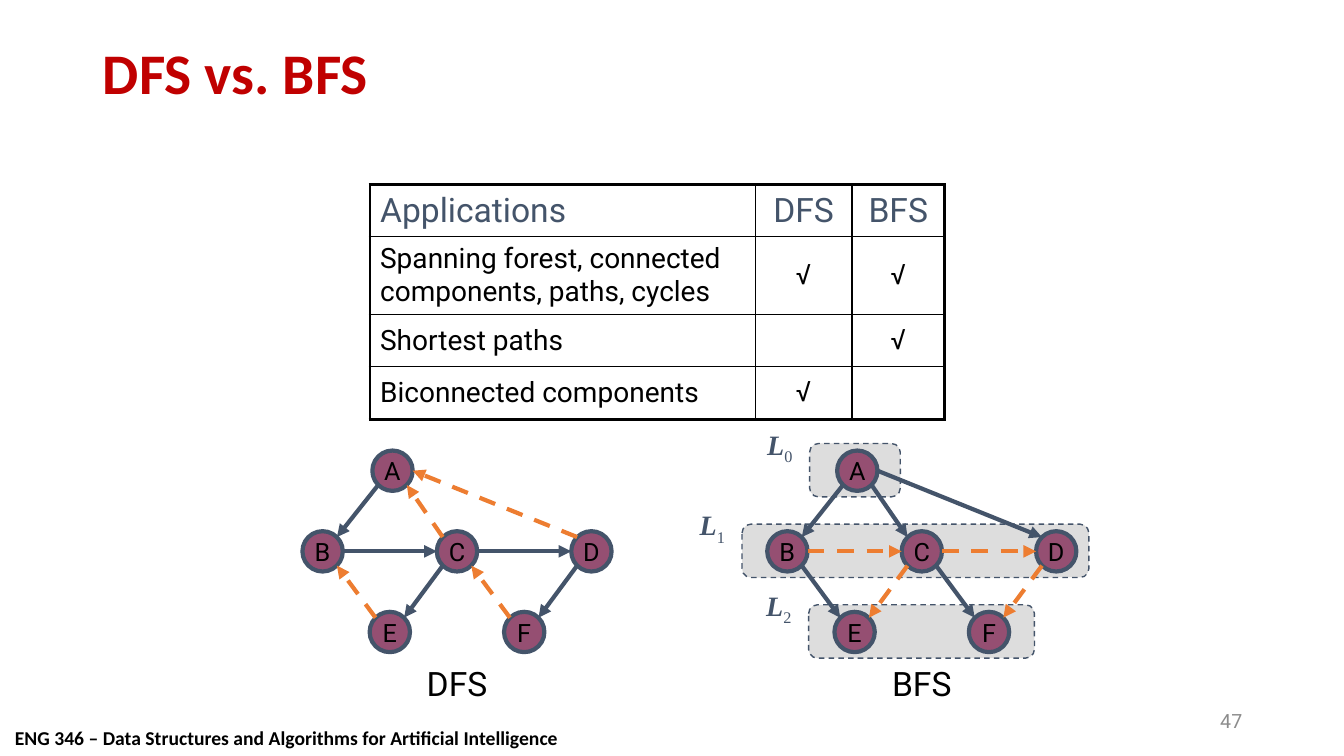
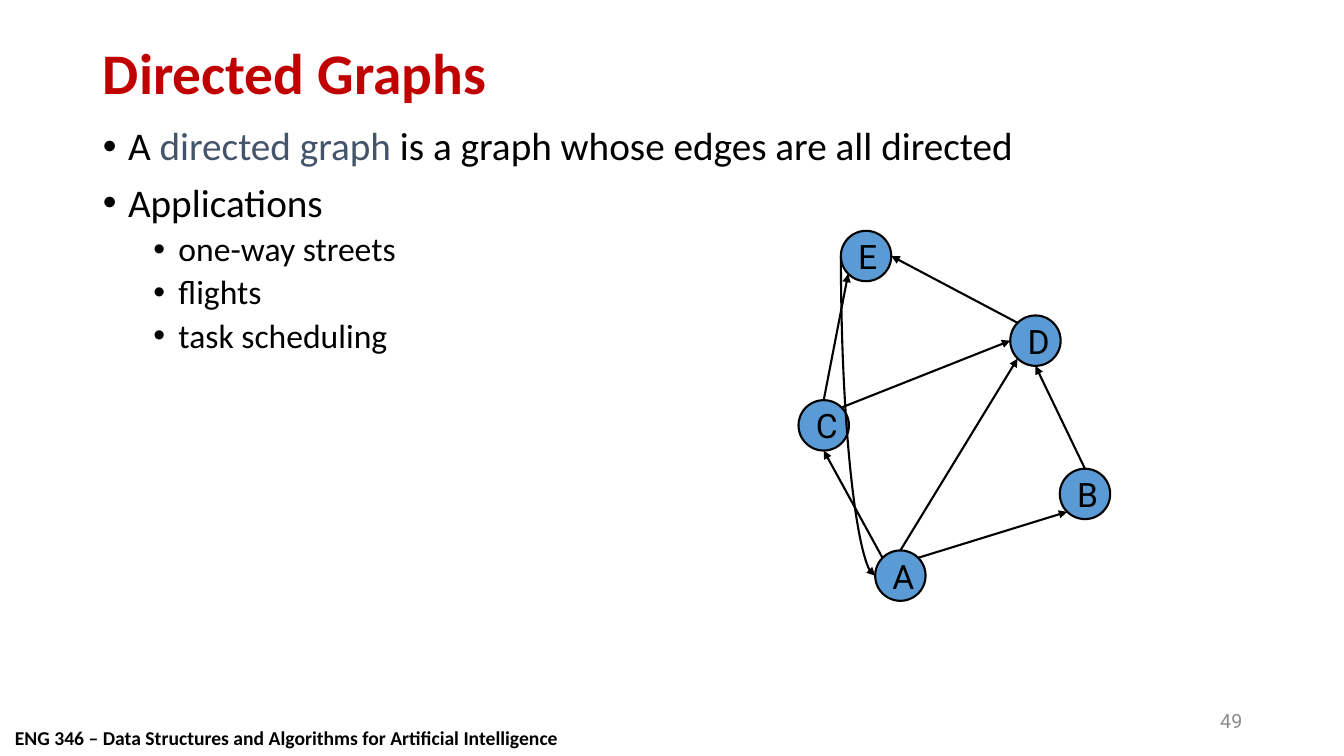
from lxml import etree
from pptx import Presentation
from pptx import util as u
from pptx.dml.color import RGBColor
from pptx.enum import dml, shapes, text
from pptx.oxml.ns import qn

# Shared look
WIDTH, HEIGHT = 13.33, 7.5
COLORS = {"title": "C00000", "ink": "000000", "slate": "44546A", "number": "8C8C8C",
          "band": "DDDDDD", "plum": "954F72", "orange": "ED7D31", "blue": "5B9BD5"}
HEADING, LABEL, MATH, TICK = "Calibri", "Roboto", "Times New Roman", "Arial"
MARGIN, CONTENT = 0.92, 11.5
FOOTER = "ENG 346 – Data Structures and Algorithms for Artificial Intelligence"
LEFT, CENTER, RIGHT = text.PP_ALIGN.LEFT, text.PP_ALIGN.CENTER, text.PP_ALIGN.RIGHT
MIDDLE = text.MSO_ANCHOR.MIDDLE

# Unit directions of the connection points around a node
DIAGONAL = 0.71
PORTS = {"N": (0, -1), "S": (0, 1), "W": (-1, 0), "E": (1, 0),
         "NW": (-DIAGONAL, -DIAGONAL), "NE": (DIAGONAL, -DIAGONAL),
         "SW": (-DIAGONAL, DIAGONAL), "SE": (DIAGONAL, DIAGONAL)}

# Traversal graphs: nodes as (column, row), edges as "node.port node.port"
COLUMN, ROW = WIDTH / 10, 0.8
TOP_ROW = 4.67
TRAVERSAL_NODES = {"A": (0.52, 0), "B": (0, 1), "C": (1, 1), "D": (2, 1),
                   "E": (0.5, 2), "F": (1.5, 2)}
DFS_TREE = ["A.SW B.NE", "B.E C.W", "C.SW E.NE", "C.E D.W", "D.SW F.NE"]
DFS_BACK = ["E.NW B.SE", "C.NW A.SE", "D.NW A.E", "F.NW C.SE"]
BFS_TREE = ["A.SW B.NE", "A.SE C.NW", "A.E D.NW", "B.SE E.NW", "C.SE F.NW"]
BFS_CROSS = ["B.E C.W", "C.E D.W", "C.SW E.NE", "D.SW F.NE"]
LEVELS = [(8.03, 0.9), (7.36, 3.44), (8.02, 2.24)]  # left and width of each band

# Directed graph
STEP = 0.42
DIRECTED_NODES = {"A": (1.81, 7.55), "B": (6.17, 5.62), "C": (0, 4),
                  "D": (5, 2), "E": (1, 0)}
DIRECTED_EDGES = ["A.NW C.S", "A.NE B.SW", "A.N D.SW", "B.N D.S",
                  "C.N E.SW", "C.NE D.W", "D.NW E.E"]

APPLICATIONS = [("Applications", "DFS", "BFS"),
                ("Spanning forest, connected components, paths, cycles", "√", "√"),
                ("Shortest paths", "", "√"),
                ("Biconnected components", "√", "")]


def rgb(name):
    return RGBColor.from_string(COLORS[name])


def add_span(para, words, font, size, color="ink", bold=False, italic=False):
    span = para.add_run()
    span.text = words
    span.font.name, span.font.size = font, u.Pt(size)
    span.font.bold, span.font.italic = bold, italic
    span.font.color.rgb = rgb(color)
    return span


def add_box(page, left, top, width, height, align=LEFT):
    box = page.shapes.add_textbox(*map(u.Inches, (left, top, width, height)))
    box.text_frame.word_wrap = True
    para = box.text_frame.paragraphs[0]
    para.alignment = align
    return box, para


def set_line(line, color, weight, dashed=False):
    line.color.rgb = rgb(color)
    line.width = u.Pt(weight)
    if dashed:
        line.dash_style = dml.MSO_LINE.DASH


def add_page(deck, layout, title, number):
    page = deck.slides.add_slide(deck.slide_layouts[layout])
    heading = page.shapes.title
    place(heading, 0.4, 0.7)
    heading.text_frame.vertical_anchor = MIDDLE
    para = heading.text_frame.paragraphs[0]
    para.alignment, para.line_spacing = LEFT, 0.9
    add_span(para, title, HEADING, 41, "title", bold=True)

    _, para = add_box(page, 0.05, 7.15, 6, 0.33)
    add_span(para, FOOTER, HEADING, 14, bold=True)
    box, para = add_box(page, MARGIN + CONTENT - 3, 6.95, 3, 0.4, RIGHT)
    box.text_frame.vertical_anchor = MIDDLE
    add_span(para, str(number), LABEL, 14, "number")
    return page


def place(holder, top, height):
    holder.left, holder.top = u.Inches(MARGIN), u.Inches(top)
    holder.width, holder.height = u.Inches(CONTENT), u.Inches(height)
    holder.text_frame.auto_size = text.MSO_AUTO_SIZE.NONE


def add_bullet(frame, spans, level=0):
    first = not frame.paragraphs[0].runs
    para = frame.paragraphs[0] if first else frame.add_paragraph()
    para.level = level
    para.line_spacing = 0.9
    para.space_before = u.Pt(0 if first else 5 if level else 10)
    props = para._p.get_or_add_pPr()
    props.set("marL", str(u.Inches(0.25 + level * 0.5)))
    props.set("indent", str(u.Inches(-0.25)))
    etree.SubElement(props, qn("a:buFont")).set("typeface", TICK)
    etree.SubElement(props, qn("a:buChar")).set("char", "•")
    for words, color in spans:
        add_span(para, words, HEADING, 24 if level else 28, color)


# Graph parts
def locate(nodes, origin, pitch):
    return {name: (origin[0] + column * pitch[0], origin[1] + row * pitch[1])
            for name, (column, row) in nodes.items()}


def add_nodes(page, centers, radius, fill, outline, weight, size, align):
    for name, (x, y) in centers.items():
        node = page.shapes.add_shape(
            shapes.MSO_SHAPE.OVAL,
            *map(u.Inches, (x - radius, y - radius, 2 * radius, 2 * radius)))
        node.shadow.inherit = False
        node.fill.solid()
        node.fill.fore_color.rgb = rgb(fill)
        set_line(node.line, outline, weight)
        frame = node.text_frame
        frame.word_wrap, frame.vertical_anchor = False, MIDDLE
        frame.paragraphs[0].alignment = align
        add_span(frame.paragraphs[0], name, LABEL, size)


def port_point(centers, radius, end):
    name, port = end.split(".")
    return [u.Inches(center + radius * shift)
            for center, shift in zip(centers[name], PORTS[port])]


def add_edge(page, centers, radius, edge, color, weight, dashed=False,
             kind=shapes.MSO_CONNECTOR.STRAIGHT, arrow="a:tailEnd"):
    start, end = (port_point(centers, radius, part) for part in edge.split())
    link = page.shapes.add_connector(kind, *start, *end)
    set_line(link.line, color, weight, dashed)
    etree.SubElement(link.line._get_or_add_ln(), qn(arrow)).set("type", "triangle")
    etree.SubElement(link._element.spPr, qn("a:effectLst"))
    return link


def add_traversal(page, name, left, tree, other):
    centers = locate(TRAVERSAL_NODES, (left, TOP_ROW), (COLUMN, ROW))
    add_nodes(page, centers, 0.2, "plum", "slate", 3, 18, CENTER)
    for edges, color, dashed in ((tree, "slate", False), (other, "orange", True)):
        for edge in edges:
            add_edge(page, centers, 0.2, edge, color, 3, dashed)
    _, para = add_box(page, left + COLUMN - 0.87, 6.53, 1.74, 0.5, CENTER)
    add_span(para, name, LABEL, 24)


def add_level(page, index, left, width):
    top = TOP_ROW - 0.27 + index * ROW
    band = page.shapes.add_shape(shapes.MSO_SHAPE.ROUNDED_RECTANGLE,
                                 *map(u.Inches, (left, top, width, 0.53)))
    band.shadow.inherit = False
    band.fill.solid()
    band.fill.fore_color.rgb = rgb("band")
    set_line(band.line, "slate", 1, dashed=True)
    _, para = add_box(page, left - 0.55, top - 0.21, 0.51, 0.48, CENTER)
    add_span(para, "L", MATH, 20, "slate", bold=True, italic=True)
    below = add_span(para, str(index), MATH, 20, "slate")
    below._r.get_or_add_rPr().set("baseline", "-25000")


# Table parts
def add_border(cell, side, weight):
    border = etree.SubElement(cell._tc.get_or_add_tcPr(), qn("a:ln" + side))
    border.set("w", str(u.Pt(weight)))
    fill = etree.SubElement(border, qn("a:solidFill"))
    etree.SubElement(fill, qn("a:srgbClr")).set("val", COLORS["ink"])


def add_applications(page):
    widths, heights = (3.82, 0.96, 0.92), (0.52, 0.77, 0.52, 0.52)
    frame = page.shapes.add_table(
        len(heights), len(widths),
        *map(u.Inches, (3.67, 1.83, sum(widths), sum(heights))))
    table = frame.table
    table.first_row = table.horz_banding = False
    for column, width in zip(table.columns, widths):
        column.width = u.Inches(width)
    for line, height in zip(table.rows, heights):
        line.height = u.Inches(height)
    last_row, last_column = len(heights) - 1, len(widths) - 1
    for row, words in enumerate(APPLICATIONS):
        for column, word in enumerate(words):
            cell = table.cell(row, column)
            outer = {"L": column == 0, "R": column == last_column,
                     "T": row == 0, "B": row == last_row}
            for side, heavy in outer.items():
                add_border(cell, side, 2.21 if heavy else 0.96)
            cell.fill.background()
            cell.vertical_anchor = MIDDLE
            para = cell.text_frame.paragraphs[0]
            para.alignment = CENTER if column else LEFT
            if not word:
                continue
            if row == 0:
                add_span(para, word, LABEL, 24, "slate")
            elif column:
                add_span(para, word, TICK, 18, bold=True)
            else:
                add_span(para, word, LABEL, 20)


# Slides
def build_comparison(deck):
    page = add_page(deck, 5, "DFS vs. BFS", 47)
    add_applications(page)
    for index, (left, width) in enumerate(LEVELS):
        add_level(page, index, left, width)
    add_traversal(page, "DFS", 3.2, DFS_TREE, DFS_BACK)
    add_traversal(page, "BFS", 7.81, BFS_TREE, BFS_CROSS)


def build_directed(deck):
    page = add_page(deck, 1, "Directed Graphs", 49)
    body = page.placeholders[1]
    place(body, 1.21, 5.54)
    add_bullet(body.text_frame, [("A ", "ink"), ("directed graph", "slate"),
                                 (" is a graph whose edges are all directed", "ink")])
    add_bullet(body.text_frame, [("Applications", "ink")])
    for use in ("one-way streets", "flights", "task scheduling"):
        add_bullet(body.text_frame, [(use, "ink")], level=1)

    centers = locate(DIRECTED_NODES, (8.17, 2.54), (STEP, STEP))
    add_nodes(page, centers, 0.25, "blue", "ink", 1.5, 24, LEFT)
    for edge in DIRECTED_EDGES:
        add_edge(page, centers, 0.25, edge, "ink", 1.5)
    # Half a turn makes the curve leave E downwards and enter A sideways
    curve = add_edge(page, centers, 0.25, "E.W A.W", "ink", 1.5,
                     kind=shapes.MSO_CONNECTOR.CURVE, arrow="a:headEnd")
    props = curve._element.spPr
    props.find(qn("a:prstGeom")).set("prst", "curvedConnector2")
    props.find(qn("a:xfrm")).set("rot", "10800000")


def main():
    deck = Presentation()
    deck.slide_width, deck.slide_height = u.Inches(WIDTH), u.Inches(HEIGHT)
    build_comparison(deck)
    build_directed(deck)
    deck.save("out.pptx")


if __name__ == "__main__":
    main()
